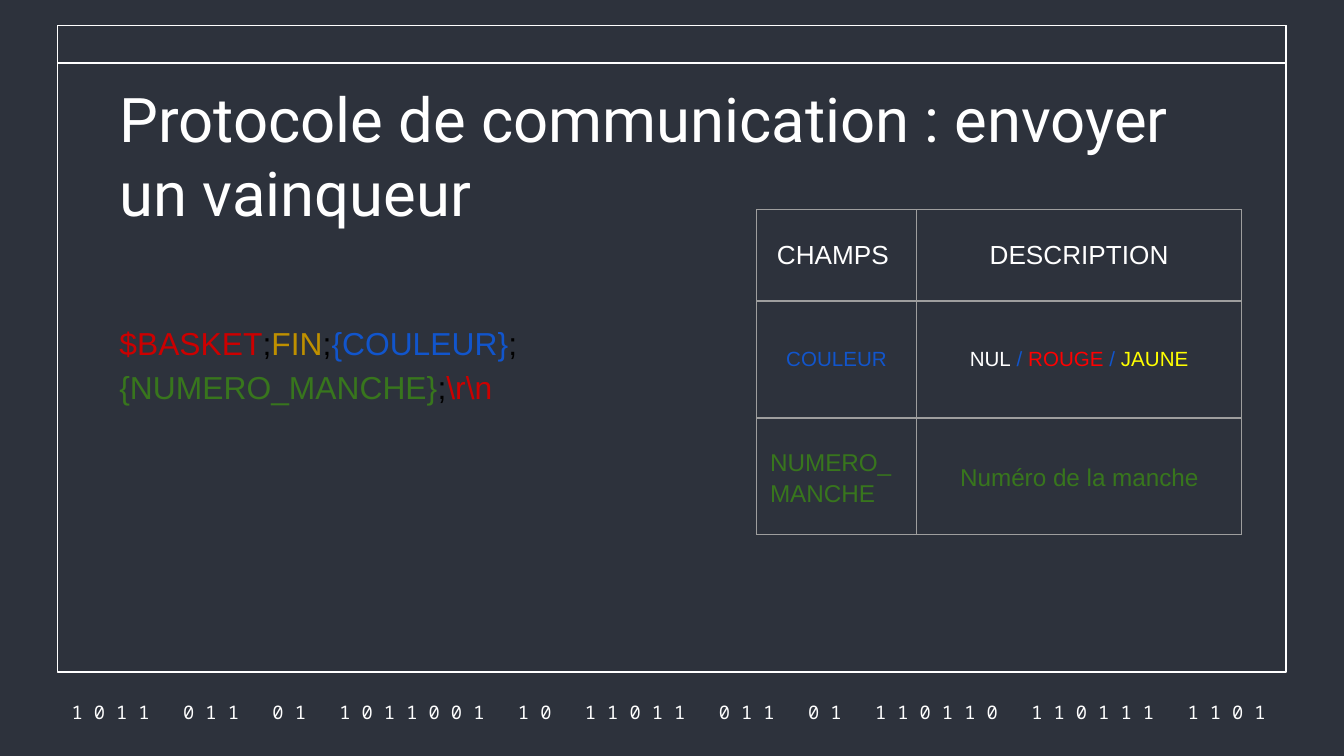
from lxml import etree
from pptx import Presentation
from pptx.dml.color import RGBColor
from pptx.enum import shapes, text
from pptx.oxml.ns import qn
from pptx.util import Inches, Pt

DARK, WHITE, BLACK, GRAY = "2D323C", "FFFFFF", "000000", "9E9E9E"
RED, GOLD, BLUE, GREEN = "CC0000", "BF9000", "1155CC", "38761D"
BITS = "1011 011 01 1011001 10 11011 011 01 110110 110111 1101"


def rgb(code):
    """Turn a hex string into a colour."""
    return RGBColor.from_string(code)


def write(frame, *lines, size, font="Arial", align="LEFT", anchor="TOP", gap=None):
    """Fill a text frame with lines made of (text, colour) pairs."""
    for num, line in enumerate(lines):
        para = frame.paragraphs[0] if num == 0 else frame.add_paragraph()
        para.alignment = text.PP_ALIGN[align]
        para.line_spacing = gap
        for words, hue in line:
            run = para.add_run()
            run.text = words
            run.font.size = Pt(size)
            run.font.name = font
            run.font.color.rgb = rgb(hue)
    frame.word_wrap = True
    frame.vertical_anchor = text.MSO_ANCHOR[anchor]


def pad(item):
    """Give a text frame or a cell equal margins."""
    for side in ("left", "top", "right", "bottom"):
        setattr(item, "margin_" + side, Inches(0.1))


def panel(slide, height):
    """Draw a white-lined panel hung from the top of the frame."""
    box = slide.shapes.add_shape(shapes.MSO_SHAPE.RECTANGLE, Inches(0.43),
                                 Inches(0.19), Inches(9.14), Inches(height))
    box.shadow.inherit = False
    box.fill.solid()
    box.fill.fore_color.rgb = rgb(DARK)
    box.line.color.rgb = rgb(WHITE)
    box.line.width = Pt(0.75)


def label(slide, left, top, width, height, *lines, **style):
    """Place a text box."""
    box = slide.shapes.add_textbox(*map(Inches, (left, top, width, height)))
    pad(box.text_frame)
    write(box.text_frame, *lines, **style)


def head(slide, words):
    """Place and format the title, in front of the panels."""
    title = slide.shapes.title
    title.left, title.top = Inches(0.79), Inches(0.5)
    title.width, title.height = Inches(8.43), Inches(0.63)
    pad(title.text_frame)
    title.text_frame.auto_size = text.MSO_AUTO_SIZE.NONE
    write(title.text_frame, [(words, WHITE)], size=33, font="Roboto")
    slide.shapes._spTree.append(title._element)


def edge(cell):
    """Draw thin gray borders round a cell."""
    props = cell._tc.get_or_add_tcPr()
    for num, tag in enumerate(("a:lnL", "a:lnR", "a:lnT", "a:lnB")):
        line = etree.Element(qn(tag), w=str(Pt(0.75)))
        fill = etree.SubElement(line, qn("a:solidFill"))
        etree.SubElement(fill, qn("a:srgbClr"), val=GRAY)
        props.insert(num, line)


def grid(slide, left, top, cols, rows, cells):
    """Build a table from rows of (runs, style) cells."""
    table = slide.shapes.add_table(len(rows), len(cols), Inches(left), Inches(top),
                                   Inches(sum(cols)), Inches(sum(rows))).table
    table.first_row = table.horz_banding = False
    for col, width in zip(table.columns, cols):
        col.width = Inches(width)
    for row, height, line in zip(table.rows, rows, cells):
        row.height = Inches(height)
        for cell, (runs, style) in zip(row.cells, line):
            pad(cell)
            cell.fill.background()
            edge(cell)
            write(cell.text_frame, runs, **style)
            cell.vertical_anchor = text.MSO_ANCHOR.MIDDLE


def main():
    """Build the slide and save it."""
    deck = Presentation()
    deck.slide_width, deck.slide_height = Inches(10), Inches(10 * 9 / 16)
    slide = deck.slides.add_slide(deck.slide_layouts[5])
    slide.background.fill.solid()
    slide.background.fill.fore_color.rgb = rgb(DARK)
    for height in (4.81, 0.28):
        panel(slide, height)
    bits = "   ".join(" ".join(group) for group in BITS.split()) + " "
    label(slide, 0.38, 5.2, 9.27, 0.2, [(bits, WHITE)], size=10,
          font="Noto Sans Mono", align="CENTER", anchor="MIDDLE")
    head(slide, "Protocole de communication : envoyer un vainqueur")
    semi = (";", BLACK)
    label(slide, 0.79, 2.27, 4.65, 1.06,
          [("$BASKET", RED), semi, ("FIN", GOLD), semi, ("{COULEUR}", BLUE), semi],
          [("{NUMERO_MANCHE}", GREEN), semi, ("\\r\\n", RED)], size=17, gap=1.15)
    top = dict(size=14, align="CENTER")
    mid = dict(size=11, align="CENTER")
    low = dict(size=13, gap=1.15)
    slash = (" / ", BLUE)
    hues = [("NUL", WHITE), slash, ("ROUGE", "FF0000"), slash, ("JAUNE", "FFFF00")]
    grid(slide, 5.63, 1.56, (1.19, 2.42), (0.68, 0.87, 0.87), [
        [([("CHAMPS ", WHITE)], top), ([("DESCRIPTION", WHITE)], top)],
        [([("COULEUR", BLUE)], mid), (hues, mid)],
        [([("NUMERO_MANCHE", GREEN)], low),
         ([("Numéro de la manche", GREEN)], dict(low, align="CENTER"))],
    ])
    deck.save("out.pptx")


if __name__ == "__main__":
    main()
